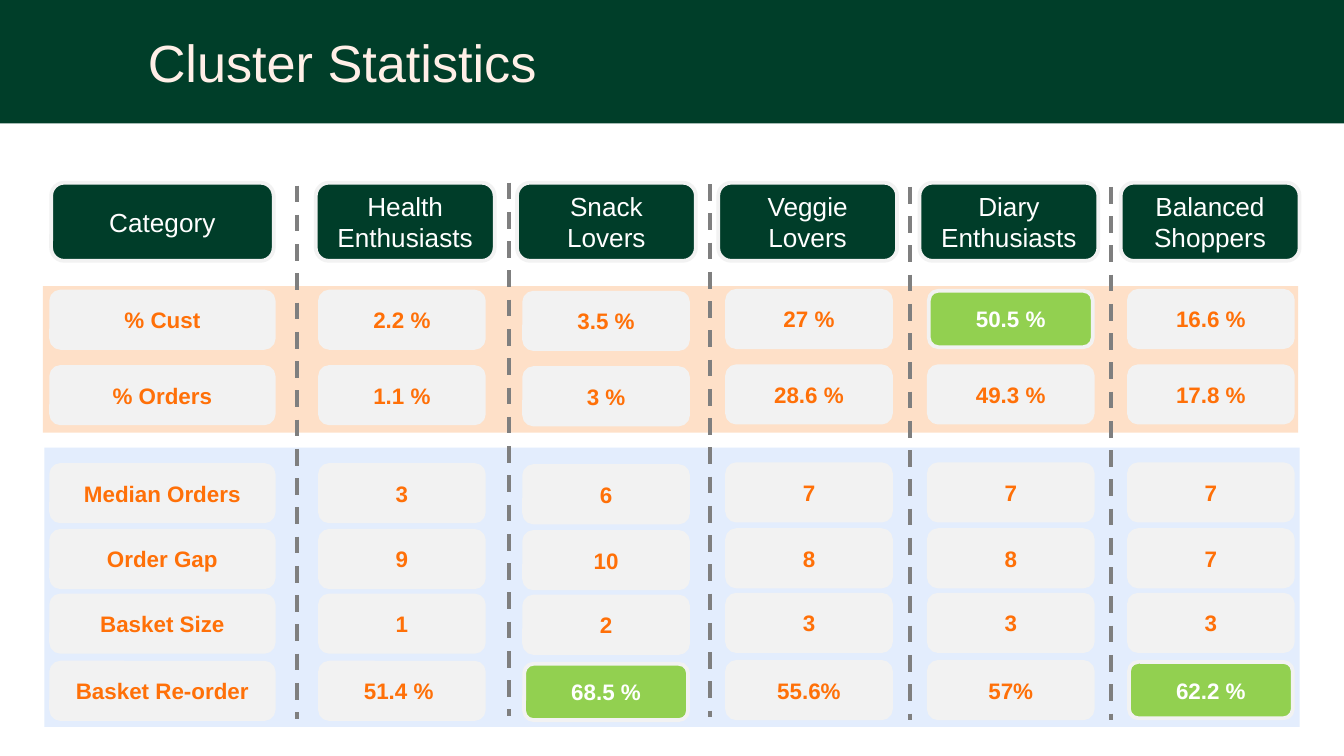
from lxml import etree
from pptx import Presentation
from pptx.dml.color import RGBColor
from pptx.enum.dml import MSO_LINE
from pptx.enum.shapes import MSO_CONNECTOR, MSO_SHAPE as SHAPE
from pptx.enum.text import MSO_ANCHOR as ANCHOR, PP_ALIGN as ALIGN
from pptx.oxml.ns import qn
from pptx.util import Pt

COLORS = {
    "banner": "003E29", "title": "FFEFE7", "header": "003D29",
    "cell": "F2F2F2", "value": "FF7008", "best": "92D050", "white": "FFFFFF",
    "share_band": "FE7305", "basket_band": "8CB5F8", "divider": "7F7F7F",
}
CATEGORIES = ["% Cust", "% Orders", "Median Orders", "Order Gap",
              "Basket Size", "Basket Re-order"]
ROW_TOPS = [58.3, 98.7, 151.2, 186.5, 221.1, 257.1]  # below the header tops
HEADER_HEIGHT, ROW_HEIGHT = 41.8, 30.2

# Name, values, row of the best value, cell inset, cell drop, divider left and drop
CLUSTERS = [
    ("Health Enthusiasts", ["2.2 %", "1.1 %", "3", "9", "1", "51.4 % "],
     None, 2.2, 0, -10.1, 1.5),
    ("Snack Lovers", ["3.5 %", "3 %", "6", "10", "2", "68.5 %"],
     5, 3.8, 0.6, -4.1, 0),
    ("Veggie Lovers", ["27 %", "28.6 %", "7", "8", "3", "55.6%"],
     None, 4.7, -0.4, -4.6, 0.7),
    ("Diary Enthusiasts", ["50.5 %", "49.3 %", "7", "8", "3", "57%"],
     0, 5, -0.4, -5.2, 2.2),
    ("Balanced Shoppers", ["16.6 %", "17.8 %", "7", "7", "3", "62.2 %"],
     5, 4.4, -0.4, -5, 2.2),
]


def rgb(name):
    return RGBColor.from_string(COLORS[name])


def add_block(page, kind, box, fill, line=None, alpha=None):
    block = page.shapes.add_shape(kind, *[Pt(length) for length in box])
    block.shadow.inherit = False
    block.fill.solid()
    block.fill.fore_color.rgb = rgb(fill)
    if alpha:
        color = block.fill._xPr.find(qn("a:solidFill"))[0]
        etree.SubElement(color, qn("a:alpha"), val=str(alpha * 1000))
    if line:
        block.line.color.rgb = rgb(line)
        block.line.width = Pt(2)
    else:
        block.line.fill.background()
    return block


def write(block, text, size, color, bold=False, align=ALIGN.CENTER):
    frame = block.text_frame
    frame.word_wrap = True
    frame.vertical_anchor = ANCHOR.MIDDLE
    para = frame.paragraphs[0]
    para.alignment = align
    span = para.add_run()
    span.text = text
    span.font.name = "Arial"
    span.font.size = Pt(size)
    span.font.bold = bold
    span.font.color.rgb = rgb(color)


def add_banner(page, box, text):
    banner = add_block(page, SHAPE.RECTANGLE, box, "banner")
    banner.text_frame.margin_left = Pt(79.2)
    write(banner, text, 28, "title", align=ALIGN.LEFT)


def add_header(page, box, text):
    header = add_block(page, SHAPE.ROUNDED_RECTANGLE, box, "header", "cell")
    write(header, text, 14, "white")


def add_cells(page, box, texts, best=None):
    left, top, width, height = box
    for row, (text, offset) in enumerate(zip(texts, ROW_TOPS)):
        fill, color = ("best", "white") if row == best else ("cell", "value")
        cell = add_block(page, SHAPE.ROUNDED_RECTANGLE,
                         (left, top + offset, width, height), fill, "cell")
        write(cell, text, 12, color, bold=True)


def add_divider(page, x, top, height):
    divider = page.shapes.add_connector(
        MSO_CONNECTOR.STRAIGHT, Pt(x), Pt(top), Pt(x), Pt(top + height))
    divider.line.color.rgb = rgb("divider")
    divider.line.width = Pt(2.25)
    divider.line.dash_style = MSO_LINE.DASH
    etree.SubElement(divider._element.spPr, qn("a:effectLst"))


def add_cluster(page, box, cluster):
    left, top, width, height = box
    name, values, best, inset, drop, divider_left, divider_drop = cluster
    add_header(page, box, name)
    add_divider(page, left + divider_left, top + divider_drop, 285.8)
    add_cells(page, (left + inset, top + drop, 87.8, ROW_HEIGHT), values, best)


def add_statistics(page, box):
    left, top, width, height = box
    # Tinted bands behind the two groups of rows
    add_block(page, SHAPE.RECTANGLE, (left + 0.8, top + 141.9, width, 149.6),
              "basket_band", alpha=24)
    add_block(page, SHAPE.RECTANGLE, (left, top + 55.4, width, 78.5),
              "share_band", alpha=22)
    # Category labels
    add_header(page, (left + 4.4, top, 119.2, HEADER_HEIGHT), "Category")
    add_cells(page, (left + 4.4, top, 119.2, ROW_HEIGHT), CATEGORIES)
    # One column for each cluster
    for column, cluster in enumerate(CLUSTERS):
        column_left = left + 146.2 + 107.8 * column
        add_cluster(page, (column_left, top, 95.8, HEADER_HEIGHT), cluster)


def main():
    deck = Presentation()
    deck.slide_width, deck.slide_height = Pt(720), Pt(405)
    page = deck.slides.add_slide(deck.slide_layouts[6])
    add_banner(page, (0, 0, 720, 66.2), "Cluster Statistics")
    add_statistics(page, (23, 97.9, 672.5, 291.5))
    deck.save("out.pptx")


if __name__ == "__main__":
    main()
